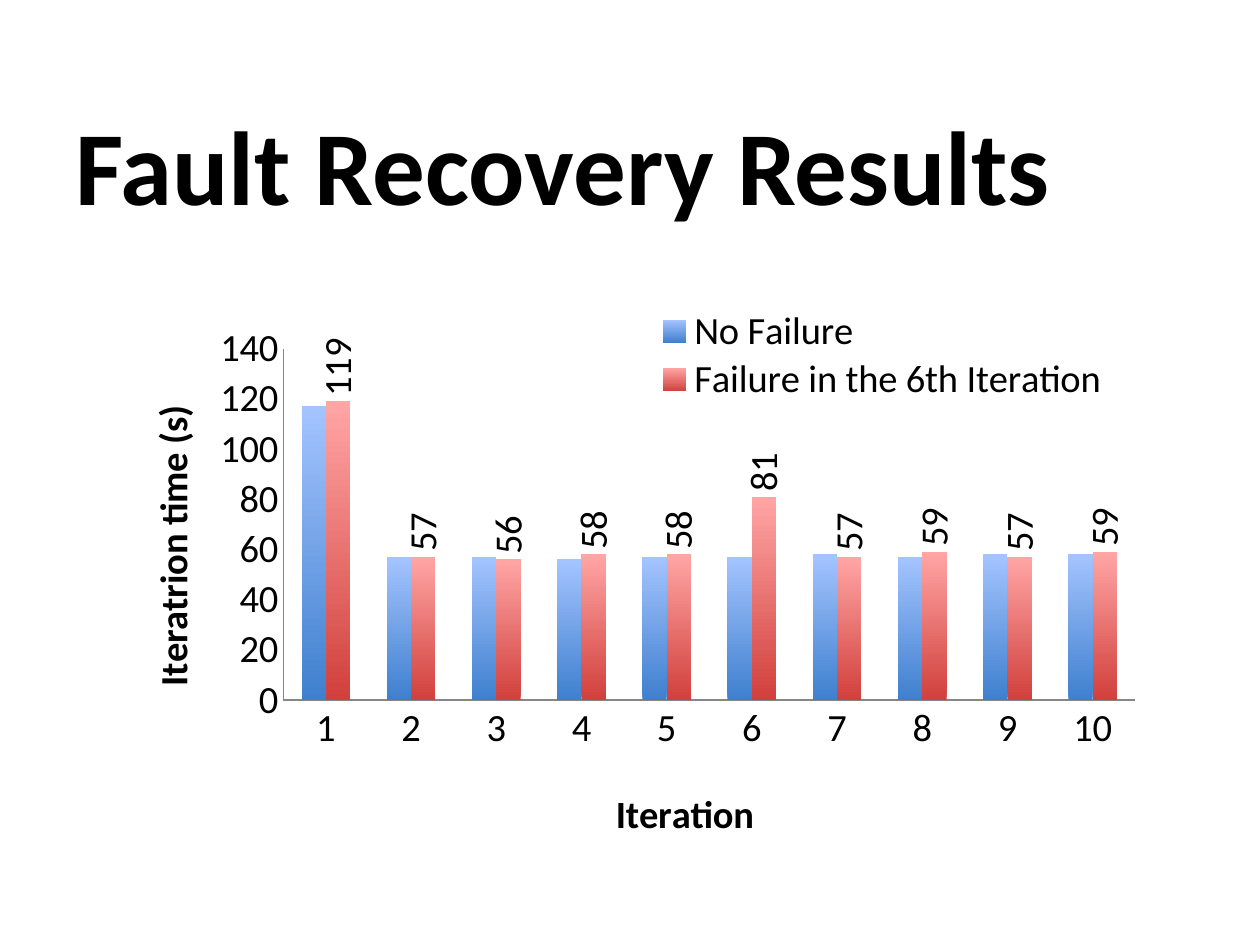
import pptx
import pptx.chart.data
import pptx.dml.color
import pptx.enum.chart
import pptx.enum.text
import pptx.oxml
import pptx.oxml.ns
import pptx.util
from pptx.util import Inches

BLACK = pptx.dml.color.RGBColor(0x00, 0x00, 0x00)
AXIS_GRAY = pptx.dml.color.RGBColor(0x86, 0x86, 0x86)
BLUE_DARK = pptx.dml.color.RGBColor(0x3F, 0x80, 0xCE)
BLUE_LIGHT = pptx.dml.color.RGBColor(0xA4, 0xC4, 0xFF)
RED_DARK = pptx.dml.color.RGBColor(0xD1, 0x40, 0x3C)
RED_LIGHT = pptx.dml.color.RGBColor(0xFF, 0xA6, 0xA5)

NO_FAILURE = [117, 57, 57, 56, 57, 57, 58, 57, 58, 58]
WITH_FAILURE = [119, 57, 56, 58, 58, 81, 57, 59, 57, 59]


def apply(target, values):
    for name, value in values.items():
        setattr(target, name, value)


def place(element, index, **position):
    for old in element.findall(pptx.oxml.ns.qn("c:layout")):
        element.remove(old)
    fields = "".join(f'<c:{tag} val="{value}"/>' for tag, value in position.items())
    element.insert(index, pptx.oxml.parse_xml(
        f'<c:layout {pptx.oxml.ns.nsdecls("c")}>'
        f"<c:manualLayout>{fields}</c:manualLayout></c:layout>"))


def turn_upright(element):
    body = next(element.iter(pptx.oxml.ns.qn("a:bodyPr")))
    body.set("rot", "-5400000")
    body.set("vert", "horz")


class ResultsSlide:
    font_name = "Calibri"

    def __init__(self, deck):
        self.slide = deck.slides.add_slide(deck.slide_layouts[5])

    def style(self, font, size, bold=False):
        apply(font, {"name": self.font_name, "size": pptx.util.Pt(size), "bold": bold})
        font.color.rgb = BLACK

    def title(self, text, left, top, width, height):
        heading = self.slide.shapes.title
        apply(heading, {"left": left, "top": top, "width": width, "height": height})
        frame = heading.text_frame
        apply(frame, {"text": text, "word_wrap": True,
                      "vertical_anchor": pptx.enum.text.MSO_ANCHOR.MIDDLE})
        paragraph = frame.paragraphs[0]
        paragraph.alignment = pptx.enum.text.PP_ALIGN.LEFT
        self.style(paragraph.runs[0].font, 60, True)

    def columns(self, categories, series, left, top, width, height):
        data = pptx.chart.data.CategoryChartData()
        data.categories = categories
        for name, values, *_ in series:
            data.add_series(name, values)
        chart = self.slide.shapes.add_chart(
            pptx.enum.chart.XL_CHART_TYPE.COLUMN_CLUSTERED,
            left, top, width, height, data).chart
        self.style(chart.font, 22)
        apply(chart, {"has_title": False, "has_legend": True})
        plot = chart.plots[0]
        apply(plot, {"gap_width": 150, "overlap": 0, "vary_by_categories": False})
        for bars, (_, _, dark, light) in zip(plot.series, series):
            self.gradient(bars.format.fill, dark, light)
        place(chart._chartSpace.chart.plotArea, 0, layoutTarget="inner",
              xMode="edge", yMode="edge", x=0.182, y=0.113, w=0.78, h=0.609)
        return chart

    def gradient(self, fill, dark, light):
        fill.gradient()
        fill.gradient_angle = 90
        for stop, color in zip(fill.gradient_stops, (dark, light)):
            stop.color.rgb = color

    def axis(self, axis, text, x, y, upright=False):
        no_tick = pptx.enum.chart.XL_TICK_MARK.NONE
        apply(axis, {"has_major_gridlines": False, "has_title": True,
                     "major_tick_mark": no_tick, "minor_tick_mark": no_tick})
        axis.format.line.color.rgb = AXIS_GRAY
        self.style(axis.tick_labels.font, 22)
        caption = axis.axis_title
        caption.text_frame.text = text
        self.style(caption.text_frame.paragraphs[0].runs[0].font, 22, True)
        place(caption._element, 1, xMode="edge", yMode="edge", x=x, y=y)
        if upright:
            turn_upright(caption._element)

    def value_labels(self, series):
        labels = series.data_labels
        apply(labels, {"show_value": True, "number_format": "#,##0",
                       "number_format_is_linked": False,
                       "position": pptx.enum.chart.XL_LABEL_POSITION.OUTSIDE_END})
        self.style(labels.font, 22)
        turn_upright(labels._element)

    def legend(self, legend):
        apply(legend, {"position": pptx.enum.chart.XL_LEGEND_POSITION.CORNER,
                       "include_in_layout": True})
        self.style(legend.font, 22)
        place(legend._element, 1, xMode="edge", yMode="edge",
              x=0.52, y=0.04, w=0.42, h=0.17)


def main():
    deck = pptx.Presentation()
    apply(deck, {"slide_width": Inches(10), "slide_height": Inches(7.5)})
    results = ResultsSlide(deck)
    results.title("Fault Recovery Results",
                  Inches(0.5), Inches(0.67), Inches(9), Inches(1.25))
    times = results.columns(
        [str(number) for number in range(1, 11)],
        [("No Failure", NO_FAILURE, BLUE_DARK, BLUE_LIGHT),
         ("Failure in the 6th Iteration", WITH_FAILURE, RED_DARK, RED_LIGHT)],
        Inches(0.67), Inches(2.25), Inches(8.67), Inches(4.58))
    results.axis(times.category_axis, "Iteration", 0.48, 0.86)
    results.axis(times.value_axis, "Iteratrion time (s)", 0.05, 0.2, upright=True)
    apply(times.value_axis, {"minimum_scale": 0, "maximum_scale": 140, "major_unit": 20})
    results.value_labels(times.plots[0].series[1])
    results.legend(times.legend)
    deck.save("out.pptx")


if __name__ == "__main__":
    main()
